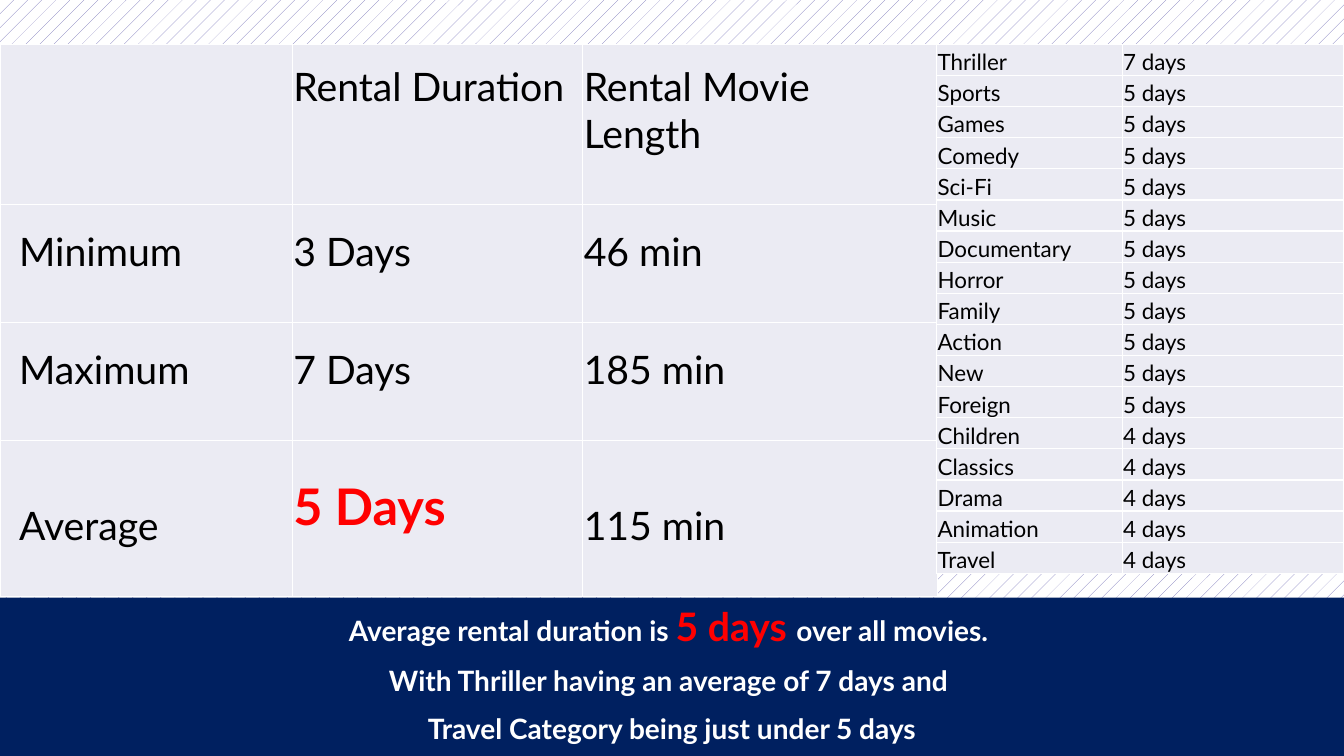
from dataclasses import dataclass
from typing import Any

from lxml import etree
from pptx import Presentation
from pptx import util as u
from pptx.dml import color
from pptx.enum import dml, shapes, text

BLACK, WHITE, RED = "000000", "FFFFFF", "FF0000"
NAVY, PALE, LILAC = "002060", "EBEBF3", "736EB6"
DRAWING = "http://schemas.openxmlformats.org/drawingml/2006/main"


@dataclass(frozen=True)
class Span:
    words: str
    size: float
    hue: str = BLACK
    bold: bool = False


@dataclass(frozen=True)
class Entry:
    lines: tuple[Span, ...] = ()
    left: float = 0.01
    bottom: float = 0


@dataclass(frozen=True)
class Grid:
    left: float
    top: float
    columns: list[float]
    rows: list[float]
    entries: list[list[Entry]]


def rgb(value: str) -> color.RGBColor:
    return color.RGBColor.from_string(value)


def apply(target: Any, values: dict[str, Any]) -> None:
    for name, value in values.items():
        setattr(target, name, value)


def write(para: Any, spans: tuple[Span, ...]) -> None:
    for span in spans:
        run = para.add_run()
        run.text = span.words
        apply(run.font, {"name": "Lato", "size": u.Pt(span.size), "bold": span.bold})
        run.font.color.rgb = rgb(span.hue)


def add_borders(cell: Any) -> None:
    properties = cell._tc.get_or_add_tcPr()
    for index, side in enumerate(("lnL", "lnR", "lnT", "lnB")):
        line = etree.Element(f"{{{DRAWING}}}{side}", w=str(u.Pt(1)))
        fill = etree.SubElement(line, f"{{{DRAWING}}}solidFill")
        etree.SubElement(fill, f"{{{DRAWING}}}srgbClr", val=WHITE)
        properties.insert(index, line)


def fill_cell(cell: Any, entry: Entry) -> None:
    apply(cell, {
        "margin_left": u.Inches(entry.left),
        "margin_right": u.Inches(0.01),
        "margin_top": u.Inches(0.01),
        "margin_bottom": u.Inches(entry.bottom),
        "vertical_anchor": text.MSO_ANCHOR.BOTTOM,
    })
    cell.fill.solid()
    cell.fill.fore_color.rgb = rgb(PALE)
    add_borders(cell)
    for index, span in enumerate(entry.lines):
        frame = cell.text_frame
        para = frame.add_paragraph() if index else frame.paragraphs[0]
        write(para, (span,))


def draw_grid(page: Any, grid: Grid) -> None:
    table = page.shapes.add_table(
        len(grid.rows), len(grid.columns), u.Inches(grid.left), u.Inches(grid.top),
        u.Inches(sum(grid.columns)), u.Inches(sum(grid.rows)),
    ).table
    apply(table, {"first_row": False, "horz_banding": False})
    for column, width in zip(table.columns, grid.columns):
        column.width = u.Inches(width)
    for row, height, entries in zip(table.rows, grid.rows, grid.entries):
        row.height = u.Inches(height)
        for cell, entry in zip(row.cells, entries):
            fill_cell(cell, entry)


def draw_summary(page: Any, lines: list[tuple[Span, ...]]) -> None:
    box = page.shapes.add_shape(
        shapes.MSO_SHAPE.RECTANGLE,
        u.Inches(0), u.Inches(5.93), u.Inches(13.33), u.Inches(1.57),
    )
    box.shadow.inherit = False
    box.fill.solid()
    box.fill.fore_color.rgb = rgb(NAVY)
    box.line.fill.background()
    frame = box.text_frame
    apply(frame, {
        "word_wrap": True,
        "vertical_anchor": text.MSO_ANCHOR.BOTTOM,
        "margin_top": 0,
        "margin_bottom": u.Inches(0.11),
    })
    for index, spans in enumerate(lines):
        para = frame.add_paragraph() if index else frame.paragraphs[0]
        apply(para, {
            "alignment": text.PP_ALIGN.CENTER,
            "space_before": u.Pt(10 if index else 0),
        })
        write(para, spans)


def figure(*lines: str, left: float = 0.01, bottom: float = 0.47) -> Entry:
    return Entry(tuple(Span(line, 28) for line in lines), left, bottom)


def label(words: str) -> Entry:
    return figure(words, left=0.19)


def main() -> None:
    deck = Presentation()
    apply(deck, {"slide_width": u.Inches(13.33), "slide_height": u.Inches(7.5)})
    page = deck.slides.add_slide(deck.slide_layouts[6])
    backdrop = page.background.fill
    backdrop.patterned()
    backdrop.pattern = dml.MSO_PATTERN.PERCENT_5
    backdrop.fore_color.rgb = rgb(LILAC)
    backdrop.back_color.rgb = rgb(WHITE)

    average = Entry((Span("5 Days", 36, RED, True),), bottom=0.6)
    draw_grid(page, Grid(0, 0.44, [2.9, 2.88, 3.52], [1.59, 1.17, 1.17, 1.55], [
        [Entry(), figure("Rental Duration", bottom=0.94), figure("Rental Movie", "Length")],
        [label("Minimum"), figure("3 Days"), figure("46 min")],
        [label("Maximum"), figure("7 Days"), figure("185 min")],
        [label("Average"), average, figure("115 min")],
    ]))

    draw_summary(page, [
        (
            Span("Average rental duration is ", 20, WHITE, True),
            Span("5 days ", 28, RED, True),
            Span("over all movies. ", 20, WHITE, True),
        ),
        (Span("With Thriller having an average of 7 days and ", 20, WHITE, True),),
        (Span("Travel Category being just under 5 days", 20, WHITE, True),),
    ])

    genres_by_days = {
        7: ["Thriller"],
        5: ["Sports", "Games", "Comedy", "Sci-Fi", "Music", "Documentary",
            "Horror", "Family", "Action", "New", "Foreign"],
        4: ["Children", "Classics", "Drama", "Animation", "Travel"],
    }
    genre_rows = [
        [Entry((Span(words, 16),)) for words in (genre, f"{days} days")]
        for days, genres in genres_by_days.items()
        for genre in genres
    ]
    heights = [5.25 / len(genre_rows)] * len(genre_rows)
    draw_grid(page, Grid(9.29, 0.44, [1.84, 2.2], heights, genre_rows))
    deck.save("out.pptx")


if __name__ == "__main__":
    main()
